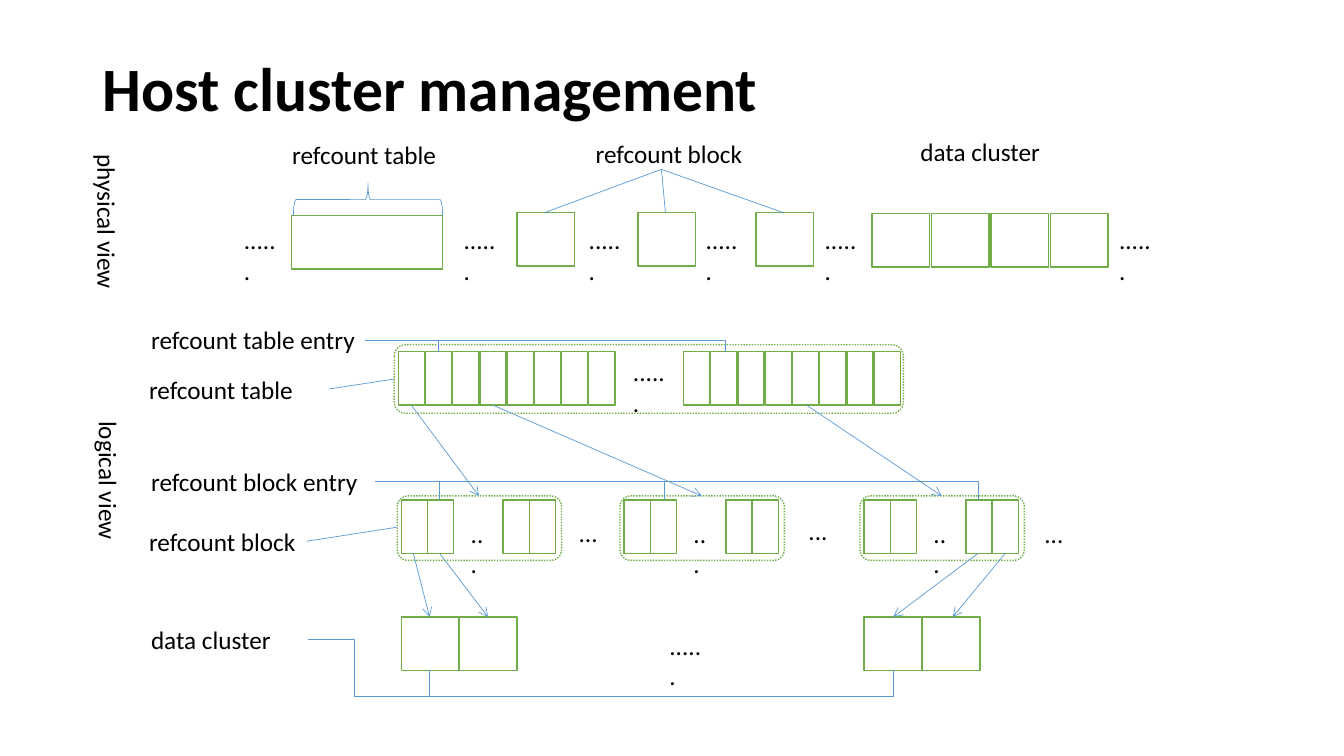
from lxml.etree import SubElement
from pptx import Presentation
from pptx.dml.color import RGBColor
from pptx.enum.dml import MSO_LINE
from pptx.enum.shapes import MSO_CONNECTOR, MSO_SHAPE
from pptx.enum.text import MSO_ANCHOR, MSO_AUTO_SIZE
from pptx.oxml.ns import qn
from pptx.util import Inches, Pt

BLACK = RGBColor(0x00, 0x00, 0x00)
WHITE = RGBColor(0xFF, 0xFF, 0xFF)
GREEN = RGBColor(0x70, 0xAD, 0x47)
BLUE = RGBColor(0x5B, 0x9B, 0xD5)
FONT = "Calibri"

CELL_W, CLUSTER_W, BOX_H = 0.26, 0.57, 0.53
TABLE_Y, BLOCK_Y, DATA_Y = 3.49, 4.96, 6.12
BLOCK_LEFTS = (3.94, 6.15, 8.53)


def add_text(s, text, left, top, width, height=0.4, size=18, rotation=0):
    sp = s.shapes.add_textbox(*map(Inches, (left, top, width, height)))
    sp.rotation = rotation
    tf = sp.text_frame
    tf.text = text
    tf.word_wrap = True
    tf.auto_size = MSO_AUTO_SIZE.SHAPE_TO_FIT_TEXT
    font = tf.paragraphs[0].runs[0].font
    font.name, font.size = FONT, Pt(size)
    font.color.rgb = BLACK
    return sp


def add_title(s, text):
    tf = add_text(s, text, 0.92, 0.4, 11.5, 1.01, 44).text_frame
    tf.auto_size = MSO_AUTO_SIZE.NONE
    tf.vertical_anchor = MSO_ANCHOR.MIDDLE
    p = tf.paragraphs[0]
    p.line_spacing = 0.9
    p.runs[0].font.bold = True


def add_box(s, left, top, width, height=BOX_H, shape=MSO_SHAPE.RECTANGLE):
    sp = s.shapes.add_shape(shape, *map(Inches, (left, top, width, height)))
    sp.shadow.inherit = False
    sp.fill.solid()
    sp.fill.fore_color.rgb = WHITE
    sp.line.color.rgb = GREEN
    sp.line.width = Pt(1)
    return sp


def add_frame(s, left, top, width, height):
    sp = add_box(s, left, top, width, height, MSO_SHAPE.ROUNDED_RECTANGLE)
    sp.line.dash_style = MSO_LINE.ROUND_DOT


def add_row(s, left, top, width, pitch, count):
    for i in range(count):
        add_box(s, left + i * pitch, top, width)


def add_brace(s, left, top, width, height):
    sp = s.shapes.add_shape(MSO_SHAPE.RIGHT_BRACE,
                            *map(Inches, (left, top, width, height)))
    sp.rotation = 270
    sp.shadow.inherit = False
    sp.fill.background()
    sp.line.color.rgb = BLUE
    sp.line.width = Pt(0.5)


def add_line(s, start, end, arrow=False, kind=MSO_CONNECTOR.STRAIGHT):
    cn = s.shapes.add_connector(kind, *map(Inches, (*start, *end)))
    cn.line.color.rgb = BLUE
    cn.line.width = Pt(0.5)
    if arrow:
        SubElement(cn.line._get_or_add_ln(), qn("a:tailEnd"), type="arrow")
    SubElement(cn._element.spPr, qn("a:effectLst"))
    return cn


def add_elbow(s, start, end, preset, rotation, flip, adjustments=()):
    """Quarter-turned elbow: its unrotated box has the two extents swapped."""
    (x1, y1), (x2, y2) = start, end
    w, h = abs(y2 - y1), abs(x2 - x1)
    left, top = (x1 + x2 - w) / 2, (y1 + y2 - h) / 2
    cn = add_line(s, (left, top), (left + w, top + h), kind=MSO_CONNECTOR.ELBOW)
    spPr = cn._element.spPr
    xfrm = spPr.find(qn("a:xfrm"))
    xfrm.set("rot", str(rotation * 60000))
    xfrm.set(flip, "1")
    geom = spPr.find(qn("a:prstGeom"))
    geom.set("prst", preset)
    guides = geom.find(qn("a:avLst"))
    for i, value in enumerate(adjustments, 1):
        SubElement(guides, qn("a:gd"), name=f"adj{i}",
                   fmla=f"val {round(value * 100000)}")


def add_entry_link(s, start, end):
    add_elbow(s, start, end, "bentConnector2", 270, "flipV")


def add_cluster_link(s, start, end, bottom, turn_x):
    (x1, y1), (x2, y2) = start, end
    add_elbow(s, start, end, "bentConnector4", 90, "flipH",
              ((bottom - y1) / (y2 - y1), (x1 - turn_x) / (x1 - x2)))


def add_physical_view(s):
    add_text(s, "physical view", 0.21, 2.09, 1.71, rotation=90)
    add_text(s, "refcount table", 2.8, 1.33, 1.64)
    add_text(s, "refcount block", 5.81, 1.32, 1.71)
    add_text(s, "data cluster", 9.03, 1.3, 1.6)

    # Clusters and the gaps between them
    add_box(s, 2.89, 2.14, 1.5)
    for left in (5.13, 6.33, 7.5):
        add_box(s, left, 2.11, CLUSTER_W)
    add_row(s, 8.65, 2.12, CLUSTER_W, 0.59, 4)
    for left in (2.32, 4.5, 5.74, 6.9, 8.08, 11):
        add_text(s, "......", left, 2.18, 0.55)

    # Label pointers
    add_brace(s, 3.49, 1.24, 0.32, 1.48)
    for x in (5.4, 6.6, 7.77):
        add_line(s, (6.56, 1.68), (x, 2.11))


def add_refcount_table(s):
    add_frame(s, 3.91, 3.42, 5.05, 0.68)
    for left in (3.95, 6.78):
        add_row(s, left, TABLE_Y, CELL_W, 0.27, 8)
    add_text(s, "......", 6.18, TABLE_Y, 0.53)
    add_text(s, "refcount table entry", 1.4, 3.17, 2.22)
    add_text(s, "refcount table", 1.38, 3.66, 1.87)
    add_line(s, (3.91, 3.76), (3.26, 3.86))
    for x in (4.35, 7.19):
        add_entry_link(s, (x, TABLE_Y), (3.62, 3.38))


def add_refcount_blocks(s):
    for left in BLOCK_LEFTS:
        add_frame(s, left, 4.92, 1.63, 0.64)
        for offset in (0.04, 1.05):
            add_row(s, left + offset, BLOCK_Y, CELL_W, CELL_W, 2)
        add_text(s, "...", left + 0.63, 5.09, 0.36)
    for left, top in ((5.64, 5.08), (7.92, 5.06), (10.26, 5.09)):
        add_text(s, "...", left, top, 0.41)
    add_text(s, "refcount block entry", 1.4, 4.58, 2.31)
    add_text(s, "refcount block", 1.38, 5.17, 1.66)
    add_line(s, (3.94, 5.23), (3.04, 5.37))
    for x in (4.36, 6.59, 9.7):
        add_entry_link(s, (x, BLOCK_Y), (3.72, 4.78))
    # Table entries point to blocks
    for x, left in zip((4.08, 4.89, 8), BLOCK_LEFTS):
        add_line(s, (x, TABLE_Y + BOX_H), (left + 0.81, 4.92), arrow=True)


def add_data_clusters(s):
    for left in (3.98, 8.57):
        add_row(s, left, DATA_Y, CLUSTER_W, 0.58, 2)
    add_text(s, "......", 6.54, 6.2, 0.55)
    add_text(s, "data cluster", 1.4, 6.14, 1.66)
    # Block entries point to data clusters
    for x1, x2 in ((4.1, 4.26), (4.36, 4.84), (9.7, 8.86), (9.97, 9.45)):
        add_line(s, (x1, BLOCK_Y + BOX_H), (x2, DATA_Y), arrow=True)
    for x in (4.26, 8.86):
        add_cluster_link(s, (x, DATA_Y + BOX_H), (3.06, 6.34), 6.91, 3.52)


def main():
    prs = Presentation()
    prs.slide_width, prs.slide_height = Inches(13.33), Inches(7.5)
    s = prs.slides.add_slide(prs.slide_layouts[6])
    add_title(s, "Host cluster management")
    add_physical_view(s)
    # Logical view, level by level
    add_text(s, "logical view", 0.27, 4.69, 1.62, rotation=90)
    add_refcount_table(s)
    add_refcount_blocks(s)
    add_data_clusters(s)
    prs.save("out.pptx")


main()
